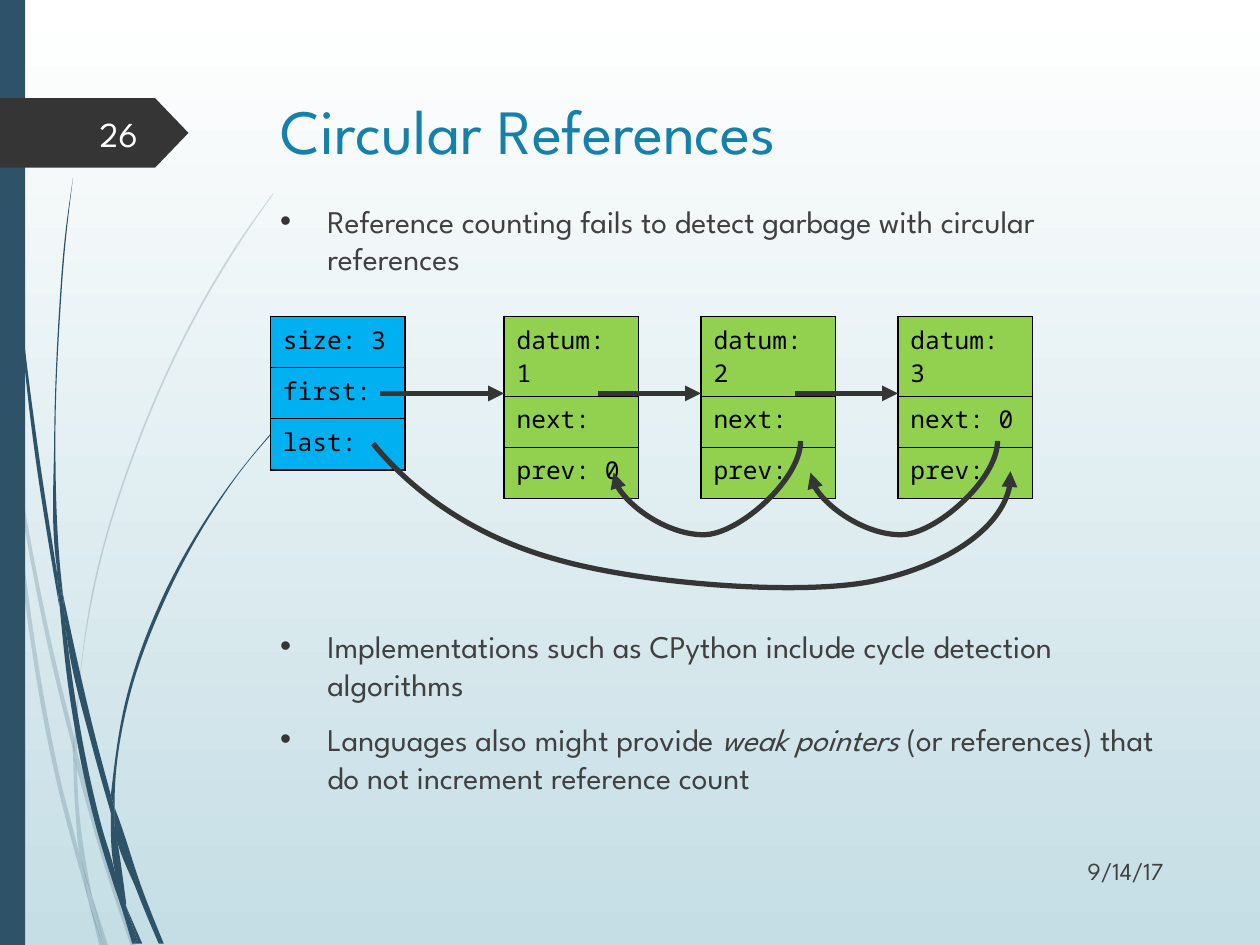
from dataclasses import dataclass
from itertools import pairwise
from math import dist

from lxml import etree
from pptx import Presentation
from pptx import util as u
from pptx.dml.color import RGBColor
from pptx.enum import shapes, text
from pptx.oxml import ns


@dataclass(frozen=True)
class Theme:
    sans: str = "League Spartan"
    mono: str = "Noto Sans Mono"
    top: str = "FFFFFF"
    base: str = "C5DEE5"
    navy: str = "2E5369"
    dark: str = "353535"
    title: str = "1581AA"
    body: str = "404040"
    white: str = "FEFFFF"
    black: str = "000000"
    list: str = "00B0F0"
    node: str = "92D050"
    big: int = 36
    mid: int = 20
    text: int = 18
    small: int = 14


T = Theme()
LEFT, ALIGN_R = text.PP_ALIGN.LEFT, text.PP_ALIGN.RIGHT
HIGH, MID = text.MSO_ANCHOR.TOP, text.MSO_ANCHOR.MIDDLE
STEPS = 1000  # freeform steps in one unit
GRASS = 2.54  # centimetres in one unit of the blades below

# Blades of grass: one edge going down, the other coming back up
PALE = [
    ([(0, 2.99), (.07, 3.44), (.08, 3.5)], [(.06, 3.22), (0, 2.82)]),
    ([(.12, 3.76), (.4, 5.22), (.59, 5.99)], [(.59, 5.86), (.43, 5.2), (.25, 4.33), (.1, 3.45)]),
    ([(.61, 6.1), (.85, 6.94), (1.04, 7.51)], [(1.08, 7.51), (.88, 6.92), (.64, 6.07), (.61, 5.96)]),
    ([(.73, 7.11), (.83, 7.51)], [(.86, 7.51), (.73, 7.11)]),
    ([(.08, 3.5), (.19, 4.7), (.45, 6.21), (.64, 6.93), (.7, 7.14)],
     [(.69, 7.07), (.64, 6.83), (.48, 6.19), (.22, 4.69), (.12, 3.76)]),
    ([(.58, 5.99), (.6, 6.46), (.64, 6.83), (.73, 7.11)], [(.72, 7.06), (.63, 6.46), (.61, 6.08)]),
    ([(2.17, 1.53), (1.86, 1.97), (1.58, 2.44), (1.1, 3.48), (.75, 4.61), (.59, 5.84)],
     [(.61, 5.96), (.61, 5.84), (.76, 4.62), (1.11, 3.49), (1.59, 2.45), (1.87, 1.98), (2.17, 1.54)]),
    ([(.7, 7.14), (.79, 7.51)], [(.82, 7.51), (.7, 7.14)]),
    ([(.59, 5.86), (.58, 5.99), (.61, 6.08)], [(.61, 6.1), (.61, 5.96)]),
    ([(.65, 6.83), (.7, 7.14), (.82, 7.51)], [(.83, 7.51), (.73, 7.11), (.67, 6.92)]),
]
DEEP = [
    ([(.02, 0), (.05, 1.1), (.14, 2.33), (.27, 3.55), (.47, 4.81)],
     [(.45, 4.53), (.3, 3.55), (.15, 2.32), (.06, 1.09), (.03, 0)]),
    ([(.5, 4.72), (.53, 5.05), (.73, 5.92), (.88, 6.45)], [(.88, 6.31), (.77, 5.9), (.5, 4.72)]),
    ([(.91, 6.41), (.91, 6.56), (1.09, 7.08), (1.26, 7.49)],
     [(1.3, 7.49), (1.13, 7.06), (.94, 6.49), (.91, 6.41)]),
    ([(.47, 4.77), (.56, 5.57), (.77, 6.59), (.97, 7.22)],
     [(.96, 7.17), (.91, 6.91), (.81, 6.57), (.6, 5.56), (.53, 5.05)]),
    ([(.58, 1.41), (.51, 1.93), (.47, 2.45), (.43, 3.49), (.45, 4.49), (.49, 4.72)],
     [(.5, 4.72), (.48, 4.53), (.44, 3.49), (.48, 2.45), (.52, 1.93), (.58, 1.41)]),
    ([(1, 7.19), (1.1, 7.49)], [(1.13, 7.49), (1, 7.19)]),
    ([(.45, 4.49), (.47, 4.77), (.53, 5.05)], [(.5, 4.72), (.49, 4.72)]),
    ([(2.15, 3.44), (1.91, 3.73), (1.68, 4.05), (1.29, 4.74), (1.01, 5.51), (.88, 6.31)],
     [(.91, 6.41), (.91, 6.33), (1.03, 5.52), (1.31, 4.76), (1.69, 4.06), (1.91, 3.74), (2.16, 3.44)]),
    ([(.97, 7.22), (1.05, 7.49)], [(1.08, 7.49), (.97, 7.22)]),
    ([(.88, 6.45), (.91, 6.91), (1, 7.19)], [(1, 7.16), (.91, 6.56), (.9, 6.51)]),
    ([(.88, 6.31), (.88, 6.45), (.91, 6.56)], [(.91, 6.41), (.88, 6.31)]),
    ([(.91, 6.91), (.97, 7.22), (1.08, 7.49)], [(1.1, 7.49), (1, 7.19), (.96, 7.06)]),
]
# Pointers in cm: end, handle, handle, end, ...
BACK = [(2.01, 8.89), (2.01, 9.68), (.74, 10.79), (.05, 10.78),
        (-.63, 10.78), (-1.8, 10.03), (-1.76, 9.53)]
LAST = [(7.52, 8.94), (8.31, 9.91), (9.55, 10.82), (11.23, 11.28), (12.9, 11.76),
        (16, 12.01), (17.53, 11.73), (19.05, 11.43), (20.47, 10.49), (20.37, 9.5)]


def color(hue):
    return RGBColor.from_string(hue)


def child(node, tag, **attrs):
    return etree.SubElement(node, ns.qn(tag), attrs)


def blend(a, b, t):
    return tuple(p + (q - p) * t for p, q in zip(a, b))


def smooth(knots):
    """Put two handles between knots, so that the curve has no corners."""
    gaps = [dist(a, b) for a, b in pairwise(knots)]
    pace = [tuple((q - p) / g for p, q in zip(a, b))
            for (a, b), g in zip(pairwise(knots), gaps)]
    lean = [blend(pace[i], pace[i + 1], gaps[i] / (gaps[i] + gaps[i + 1]))
            for i in range(len(pace) - 1)]
    if lean:
        lean = [blend(lean[0], pace[0], 1.5), *lean, blend(lean[-1], pace[-1], 1.5)]
    else:
        lean = pace * 2
    flow = [knots[0]]
    for i, (a, b) in enumerate(pairwise(knots)):
        flow += [tuple(p + m * gaps[i] / 3 for p, m in zip(a, lean[i])),
                 tuple(p - m * gaps[i] / 3 for p, m in zip(b, lean[i + 1])), b]
    return flow


def curve(slide, flow, unit=1, close=False):
    """Draw cubic curves through end, handle, handle, end, ..."""
    grid = [(round(x * STEPS), round(y * STEPS)) for x, y in flow]
    ends = grid[::3]
    pen = slide.shapes.build_freeform(*ends[0], scale=u.Cm(unit) / STEPS)
    pen.add_line_segments(ends[1:], close=close)
    shape = pen.convert_to_shape()
    shape.shadow.inherit = False
    left, top = (min(axis) for axis in zip(*ends))
    for i, line in enumerate(list(shape._element.iter(ns.qn("a:lnTo")))[:len(ends) - 1]):
        arc = etree.Element(ns.qn("a:cubicBezTo"))
        for x, y in grid[3 * i + 1:3 * i + 4]:
            child(arc, "a:pt", x=str(x - left), y=str(y - top))
        line.getparent().replace(line, arc)
    return shape


def paint(shape, hue):
    shape.shadow.inherit = False
    shape.fill.solid()
    shape.fill.fore_color.rgb = color(hue)
    shape.line.fill.background()


def blade(slide, down, back, alpha=100):
    flow = smooth(down) + [down[-1], back[0]] + smooth(back)
    shape = curve(slide, flow, GRASS, True)
    paint(shape, T.navy)
    hue = shape._element.spPr.find(".//" + ns.qn("a:srgbClr"))
    child(hue, "a:alpha", val=str(alpha * 1000))


def block(slide, kind, x, y, w, h, hue):
    shape = slide.shapes.add_shape(kind, u.Cm(x), u.Cm(y), u.Cm(w), u.Cm(h))
    paint(shape, hue)
    return shape


def write(para, words, size=T.text, font=T.sans, hue=T.body, italic=False):
    run = para.add_run()
    run.text = words
    run.font.size, run.font.name = u.Pt(size), font
    run.font.bold, run.font.italic = False, italic
    run.font.color.rgb = color(hue)


def frame(slide, x, y, w, h, anchor=HIGH):
    box = slide.shapes.add_textbox(u.Cm(x), u.Cm(y), u.Cm(w), u.Cm(h)).text_frame
    box.word_wrap, box.vertical_anchor = True, anchor
    return box


def label(slide, words, x, y, w, h, align=LEFT, anchor=HIGH, **form):
    para = frame(slide, x, y, w, h, anchor).paragraphs[0]
    para.alignment = align
    write(para, words, **form)


def bullets(slide, y, h, items):
    """Each item is a list of parts; every second part is italic."""
    box = frame(slide, 5.4, y, 18.31, h)
    for i, parts in enumerate(items):
        para = box.add_paragraph() if i else box.paragraphs[0]
        para.space_before = u.Pt(10)
        props = para._p.get_or_add_pPr()
        props.set("marL", str(u.Cm(.95)))
        props.set("indent", str(-u.Cm(.95)))
        child(child(props, "a:buClr"), "a:srgbClr", val=T.dark)
        child(props, "a:buFont", typeface="Arial")
        child(props, "a:buChar", char="•")
        for j, part in enumerate(parts):
            write(para, part, italic=j % 2 == 1)


def record(slide, x, fields, hue, first=1.03):
    rows = len(fields)
    table = slide.shapes.add_table(rows, 1, u.Cm(x), u.Cm(6.38),
                                   u.Cm(2.71), u.Cm(1.03 * rows)).table
    table.first_row = table.horz_banding = False
    table.rows[0].height = u.Cm(first)
    for row, words in enumerate(fields):
        cell = table.cell(row, 0)
        write(cell.text_frame.paragraphs[0], words, T.small, T.mono, T.black)
        props = cell._tc.get_or_add_tcPr()
        for side in "LRTB":
            edge = child(props, "a:ln" + side, w=str(u.Pt(1)))
            child(child(edge, "a:solidFill"), "a:srgbClr", val=T.black)
        cell.fill.solid()
        cell.fill.fore_color.rgb = color(hue)


def point(shape):
    """Give a line its colour, width and arrowhead."""
    shape.line.color.rgb = color(T.dark)
    shape.line.width = u.Pt(3)
    child(shape.line._get_or_add_ln(), "a:tailEnd", type="triangle")


def arrow(slide, start, end, y=7.93):
    line = slide.shapes.add_connector(shapes.MSO_CONNECTOR.STRAIGHT,
                                      u.Cm(start), u.Cm(y), u.Cm(end), u.Cm(y))
    point(line)
    child(line._element.spPr, "a:effectLst")


def bend(slide, flow):
    shape = curve(slide, flow)
    shape.fill.background()
    point(shape)


def decor(slide):
    fill = slide.background.fill
    fill.gradient()
    fill.gradient_angle = 270
    for stop, hue in zip(fill.gradient_stops, (T.top, T.base)):
        stop.color.rgb = color(hue)
    for blades, alpha in ((PALE, 20), (DEEP, 100)):
        for down, back in blades:
            blade(slide, down, back, alpha)
    kind = shapes.MSO_SHAPE
    block(slide, kind.RECTANGLE, 0, 0, .51, 19.05, T.navy)
    tag = block(slide, kind.PENTAGON, 0, 1.98, 3.8, 1.4, T.dark)
    tag.adjustments[0] = .48


def main():
    deck = Presentation()
    deck.slide_width, deck.slide_height = u.Cm(25.4), u.Cm(19.05)
    slide = deck.slides.add_slide(deck.slide_layouts[6])
    decor(slide)
    label(slide, "Circular References", 5.41, 1.73, 18.31, 1.9, size=T.big, hue=T.title)
    label(slide, "9/14/17", 20.33, 17.04, 3.38, 1.02, ALIGN_R, MID, size=T.small)
    label(slide, "26", 1.4, 2.18, 1.63, 1.02, ALIGN_R, MID, size=T.mid, hue=T.white)

    nodes = [10.16 + 3.97 * i for i in range(3)]
    links = [("next:", "prev: 0"), ("next:", "prev:"), ("next: 0", "prev:")]
    record(slide, 5.45, ("size: 3", "first:", "last:"), T.list)
    for i, (x, link) in enumerate(zip(nodes, links), 1):
        record(slide, x, (f"datum: {i}", *link), T.node, first=1.61)
    for start, end in zip([7.66, *(x + 1.9 for x in nodes)], nodes):
        arrow(slide, start, end)
    for node in nodes[1:]:
        bend(slide, [(node + x, y) for x, y in BACK])
    bend(slide, LAST)

    bullets(slide, 3.94, 2.3, [
        ["Reference counting fails to detect garbage with circular references"]])
    bullets(slide, 12.51, 4.14, [
        ["Implementations such as CPython include cycle detection algorithms"],
        ["Languages also might provide ", "weak pointers",
         " (or references) that do not increment reference count"]])
    deck.save("out.pptx")


if __name__ == "__main__":
    main()
